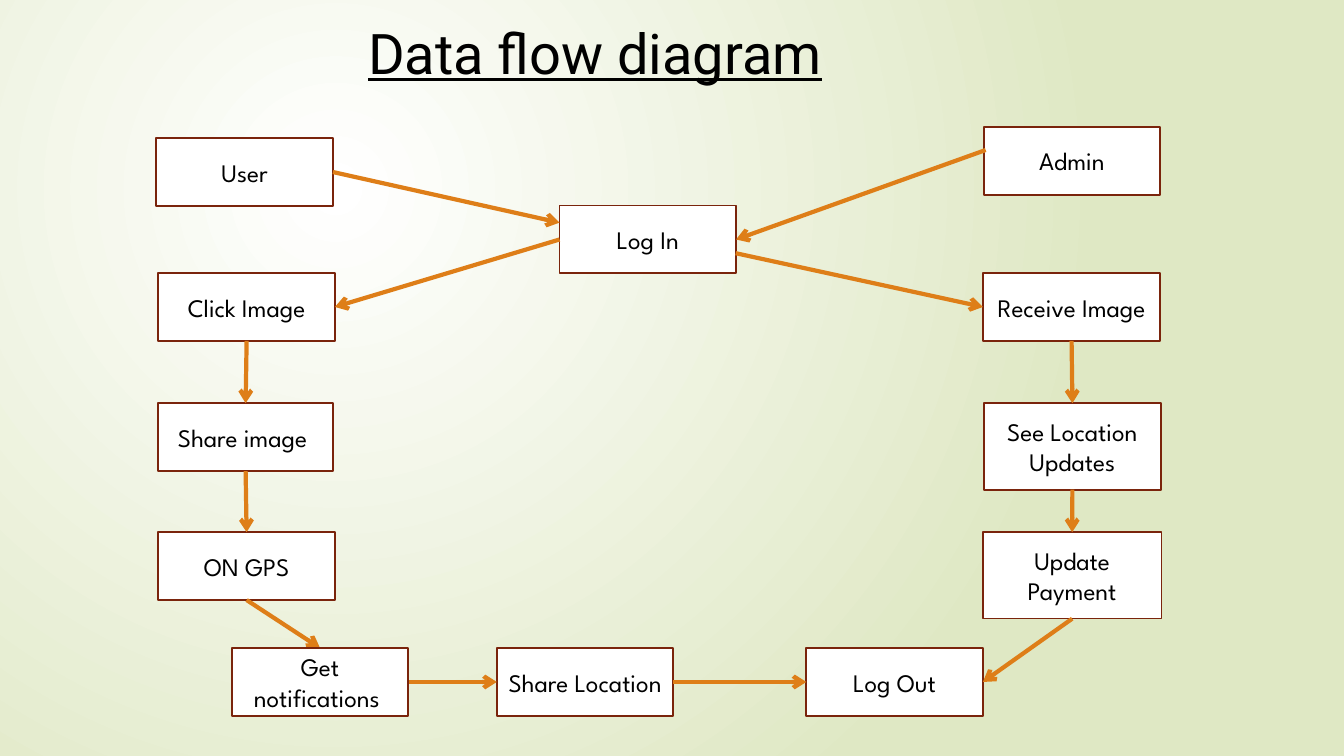
"""Build the data flow diagram slide."""
import pptx
import pptx.dml.color
import pptx.enum.shapes
import pptx.enum.text
import pptx.oxml
import pptx.oxml.ns
import pptx.util

Cm = pptx.util.Cm
Pt = pptx.util.Pt
ALIGN = pptx.enum.text.PP_ALIGN
ANCHOR = pptx.enum.text.MSO_ANCHOR

COLORS = {
    "white": "FFFFFF",
    "green": "DFE8C4",
    "text": "000000",
    "border": "7A240C",
    "arrow": "DE7E18",
}
TITLE_FONT = {"name": "Roboto", "size": Pt(40), "underline": True}
BOX_FONT = {"name": "League Spartan", "size": Pt(18)}
TITLE_FRAME = {
    "word_wrap": True,
    "auto_size": pptx.enum.text.MSO_AUTO_SIZE.NONE,
    "vertical_anchor": ANCHOR.TOP,
}
BOX_FRAME = {"word_wrap": True, "vertical_anchor": ANCHOR.MIDDLE}

TOP, LEFT, BOTTOM, RIGHT = range(4)
W, H, TALL = 4.45, 1.71, 2.18
LEFT_X, RIGHT_X = 3.99, 24.77
ROW_1, ROW_2, ROW_3, ROW_4 = 6.88, 10.16, 13.41, 16.33

BOXES = {
    "Log Out": (20.32, ROW_4, W, H),
    "Share Location": (12.52, ROW_4, W, H),
    "Update Payment": (RIGHT_X, ROW_3, 4.5, TALL),
    "ON GPS": (LEFT_X, ROW_3, W, H),
    "See Location Updates": (24.79, ROW_2, 4.47, TALL),
    "Share image ": (LEFT_X, ROW_2, 4.4, H),
    "Click Image": (LEFT_X, ROW_1, W, H),
    "Receive Image": (RIGHT_X, ROW_1, 4.47, H),
    "User": (3.94, 3.48, W, H),
    "Admin": (24.79, 3.2, W, H),
    "Log In": (14.1, 5.18, W, H),
    "Get notifications ": (5.84, ROW_4, W, H),
}
FLOWS = [
    (("User", RIGHT), (14.1, 5.61)),
    (("Log In", LEFT), ("Click Image", RIGHT)),
    ((24.84, 3.78), ("Log In", RIGHT)),
    ((18.54, 6.38), ("Receive Image", LEFT)),
    (("Click Image", BOTTOM), ("Share image ", TOP)),
    (("Share image ", BOTTOM), ("ON GPS", TOP)),
    (("Receive Image", BOTTOM), ("See Location Updates", TOP)),
    (("See Location Updates", BOTTOM), ("Update Payment", TOP)),
    (("ON GPS", BOTTOM), ("Get notifications ", TOP)),
    (("Get notifications ", RIGHT), ("Share Location", LEFT)),
    (("Share Location", RIGHT), ("Log Out", LEFT)),
    (("Update Payment", BOTTOM), ("Log Out", RIGHT)),
]


def rgb(name):
    """Return a named colour."""
    return pptx.dml.color.RGBColor.from_string(COLORS[name])


def apply(obj, values):
    """Set attributes from a dict of format values."""
    for name, value in values.items():
        setattr(obj, name, value)


def place(sp, box):
    """Move and size a shape, in centimetres."""
    apply(sp, dict(zip(("left", "top", "width", "height"), map(Cm, box))))


def write(sp, text, frame, font, align):
    """Fill a shape with one formatted paragraph."""
    tf = sp.text_frame
    apply(tf, frame)
    p = tf.paragraphs[0]
    p.alignment = align
    r = p.add_run()
    r.text = text
    apply(r.font, font)
    r.font.color.rgb = rgb("text")


def paint_background(s):
    """Give the slide a radial gradient centred in its upper left part."""
    fill = s.background.fill
    fill.gradient()
    for stop, name in zip(fill.gradient_stops, ("white", "green")):
        stop.color.rgb = rgb(name)
    grad = s.element.find(".//" + pptx.oxml.ns.qn("a:gradFill"))
    grad.remove(grad.find(pptx.oxml.ns.qn("a:lin")))
    grad.append(pptx.oxml.parse_xml(
        f'<a:path {pptx.oxml.ns.nsdecls("a")} path="circle">'
        '<a:fillToRect l="50000" t="50000" r="100000" b="100000"/></a:path>'))


def add_box(s, text, box):
    """Add one labelled step of the flow."""
    sp = s.shapes.add_shape(
        pptx.enum.shapes.MSO_SHAPE.RECTANGLE, *map(Cm, box))
    sp.shadow.inherit = False
    sp.fill.solid()
    sp.fill.fore_color.rgb = rgb("white")
    sp.line.color.rgb = rgb("border")
    sp.line.width = Pt(1.25)
    write(sp, text, BOX_FRAME, BOX_FONT, ALIGN.CENTER)
    return sp


def add_arrow(s, boxes, start, end):
    """Add an arrow between points or sides of boxes."""
    points = [(0, 0) if e[0] in boxes else e for e in (start, end)]
    c = s.shapes.add_connector(
        pptx.enum.shapes.MSO_CONNECTOR.STRAIGHT,
        *(Cm(v) for point in points for v in point))
    for join, (name, side) in ((c.begin_connect, start), (c.end_connect, end)):
        if name in boxes:
            join(boxes[name], side)
    c.line.color.rgb = rgb("arrow")
    c.line.width = Pt(3)
    ns = pptx.oxml.ns.nsdecls("a")
    c.line._get_or_add_ln().append(
        pptx.oxml.parse_xml(f'<a:tailEnd {ns} type="arrow"/>'))
    c.element.spPr.append(pptx.oxml.parse_xml(f"<a:effectLst {ns}/>"))


def main():
    """Build and save the slide."""
    prs = pptx.Presentation()
    prs.slide_width, prs.slide_height = Cm(33.87), Cm(19.05)
    s = prs.slides.add_slide(prs.slide_layouts[5])
    paint_background(s)
    title = s.shapes.title
    place(title, (9.02, 0.33, 15.88, 2.54))
    write(title, "Data flow diagram", TITLE_FRAME, TITLE_FONT, ALIGN.LEFT)
    boxes = {text: add_box(s, text, box) for text, box in BOXES.items()}
    for start, end in FLOWS:
        add_arrow(s, boxes, start, end)
    front = boxes["Get notifications "].element
    front.getparent().append(front)
    prs.save("out.pptx")


if __name__ == "__main__":
    main()
